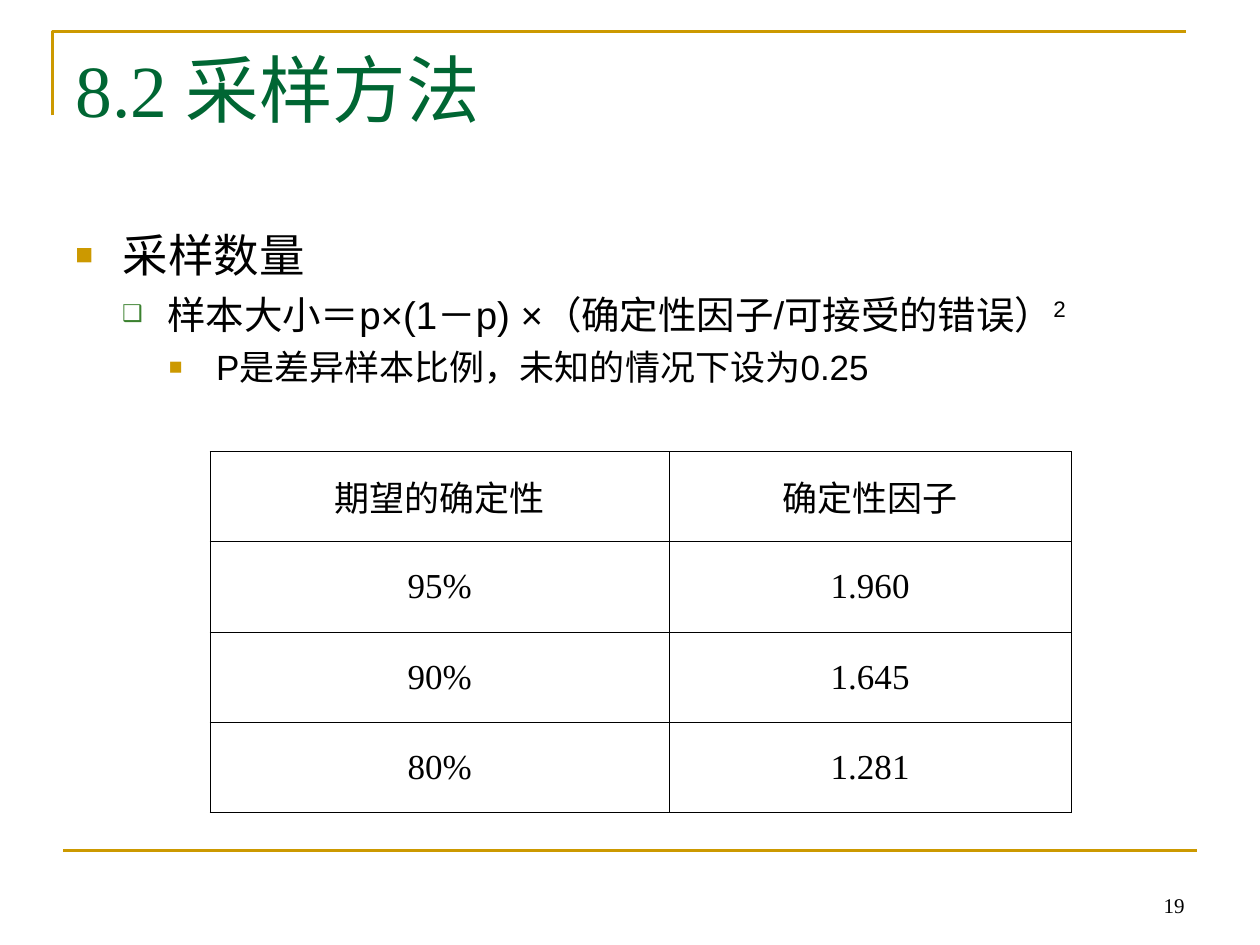
import pptx
import pptx.util
import pptx.dml.color
import pptx.enum.shapes
import pptx.enum.text
import pptx.oxml
import pptx.oxml.ns

Pt = pptx.util.Pt
ALIGN = pptx.enum.text.PP_ALIGN
ANCHOR = pptx.enum.text.MSO_ANCHOR

THEME = {
    "gold": "CC9900", "title": "006633", "leaf": "3B812F", "ink": "000000",
    "serif": "Times New Roman", "sans": "Arial",
    "title_size": 42, "level_sizes": (26, 22, 20), "table_size": 20, "number_size": 12,
    "rule": 1.5, "border": 0.45,
}
color = {key: pptx.dml.color.RGBColor.from_string(THEME[key])
         for key in ("gold", "title", "leaf", "ink")}

# Slide on a grid of 120 columns by 90 rows
deck = pptx.Presentation()
deck.slide_width, deck.slide_height = pptx.util.Inches(10), pptx.util.Inches(7.5)
slide = deck.slides.add_slide(deck.slide_layouts[5])


def grid(*steps):
    return [round(step * deck.slide_width / 120) for step in steps]


def write(paragraph, text, size, font, ink):
    run = paragraph.add_run()
    run.text = text
    for name, value in {"size": Pt(size), "name": font, "bold": False}.items():
        setattr(run.font, name, value)
    run.font.color.rgb = ink
    return run


# Gold corner and bottom rule
corner_path = slide.shapes.build_freeform(*grid(5, 11))
corner_path.add_line_segments([grid(5, 3), grid(113, 3)], close=False)
corner = corner_path.convert_to_shape()
corner.shadow.inherit = False
corner.fill.background()
bottom_rule = slide.shapes.add_connector(
    pptx.enum.shapes.MSO_CONNECTOR.STRAIGHT, *grid(6, 81, 114, 81))
bottom_rule._element.spPr.append(pptx.oxml.parse_xml(
    f'<a:effectLst {pptx.oxml.ns.nsdecls("a")}/>'))
for rule in (corner, bottom_rule):
    rule.line.color.rgb = color["gold"]
    rule.line.width = Pt(THEME["rule"])

# Title
title = slide.shapes.title
title.left, title.top, title.width, title.height = grid(6, 3.6, 108, 15)
heading = title.text_frame
for name, value in {"vertical_anchor": ANCHOR.TOP, "word_wrap": True,
                    "auto_size": pptx.enum.text.MSO_AUTO_SIZE.NONE}.items():
    setattr(heading, name, value)
heading.paragraphs[0].alignment = ALIGN.LEFT
write(heading.paragraphs[0], "8.2 采样方法", THEME["title_size"], THEME["serif"], color["title"])

# Bulleted outline: text, left margin and hanging indent in columns, space before, bullet
outline = [
    ("采样数量", 4.5, 4.5, 0, "■", "gold", 65),
    ("样本大小＝p×(1－p) ×（确定性因子/可接受的错误）", 8.75, 4.3, 5.5, "❑", "leaf", 60),
    ("P是差异样本比例，未知的情况下设为0.25", 13.4, 4.5, 5, "■", "gold", 65),
]
body = slide.shapes.add_textbox(*grid(6, 21, 109, 59.4)).text_frame
body.word_wrap = True
for level, (text, margin, hang, before, mark, tint, share) in enumerate(outline):
    point = body.paragraphs[0] if level == 0 else body.add_paragraph()
    point.level = level
    properties = point._p.get_or_add_pPr()
    for name, steps in {"marL": margin, "indent": -hang}.items():
        properties.set(name, str(grid(steps)[0]))
    for bullet in (f'buClr {{}}><a:srgbClr val="{THEME[tint]}"/></a:buClr>',
                   f'buSzPct {{}} val="{share * 1000}"/>',
                   f'buFont {{}} typeface="{THEME["sans"]}"/>',
                   f'buChar {{}} char="{mark}"/>'):
        properties.append(pptx.oxml.parse_xml(
            "<a:" + bullet.format(pptx.oxml.ns.nsdecls("a"))))
    if before:
        point.space_before = Pt(before)
    size = THEME["level_sizes"][level]
    write(point, text, size, THEME["sans"], color["ink"])
    if level == 1:
        exponent = write(point, "2", size, THEME["sans"], color["ink"])
        exponent._r.get_or_add_rPr().set("baseline", "30000")

# Certainty factor table
factors = [("期望的确定性", "确定性因子"), ("95%", "1.960"), ("90%", "1.645"), ("80%", "1.281")]
table = slide.shapes.add_table(len(factors), 2, *grid(20, 43, 82, 34.4)).table
table.first_row = table.horz_banding = False
for column, width in zip(table.columns, grid(43.75, 38.25)):
    column.width = width
for row, entries in zip(table.rows, factors):
    for cell, entry in zip(row.cells, entries):
        cell.vertical_anchor = ANCHOR.MIDDLE
        paragraph = cell.text_frame.paragraphs[0]
        paragraph.alignment = ALIGN.CENTER
        write(paragraph, entry, THEME["table_size"], THEME["serif"], color["ink"])
        cell_properties = cell._tc.get_or_add_tcPr()
        for side in "LRTB":
            cell_properties.append(pptx.oxml.parse_xml(
                f'<a:ln{side} {pptx.oxml.ns.nsdecls("a")} w="{Pt(THEME["border"])}">'
                f'<a:solidFill><a:srgbClr val="{THEME["ink"]}"/></a:solidFill></a:ln{side}>'))
        cell.fill.background()

# Page number
page = slide.shapes.add_textbox(*grid(86, 82, 28, 6)).text_frame
page.word_wrap = True
page.vertical_anchor = ANCHOR.BOTTOM
page.paragraphs[0].alignment = ALIGN.RIGHT
write(page.paragraphs[0], "19", THEME["number_size"], THEME["serif"], color["ink"])

deck.save("out.pptx")
